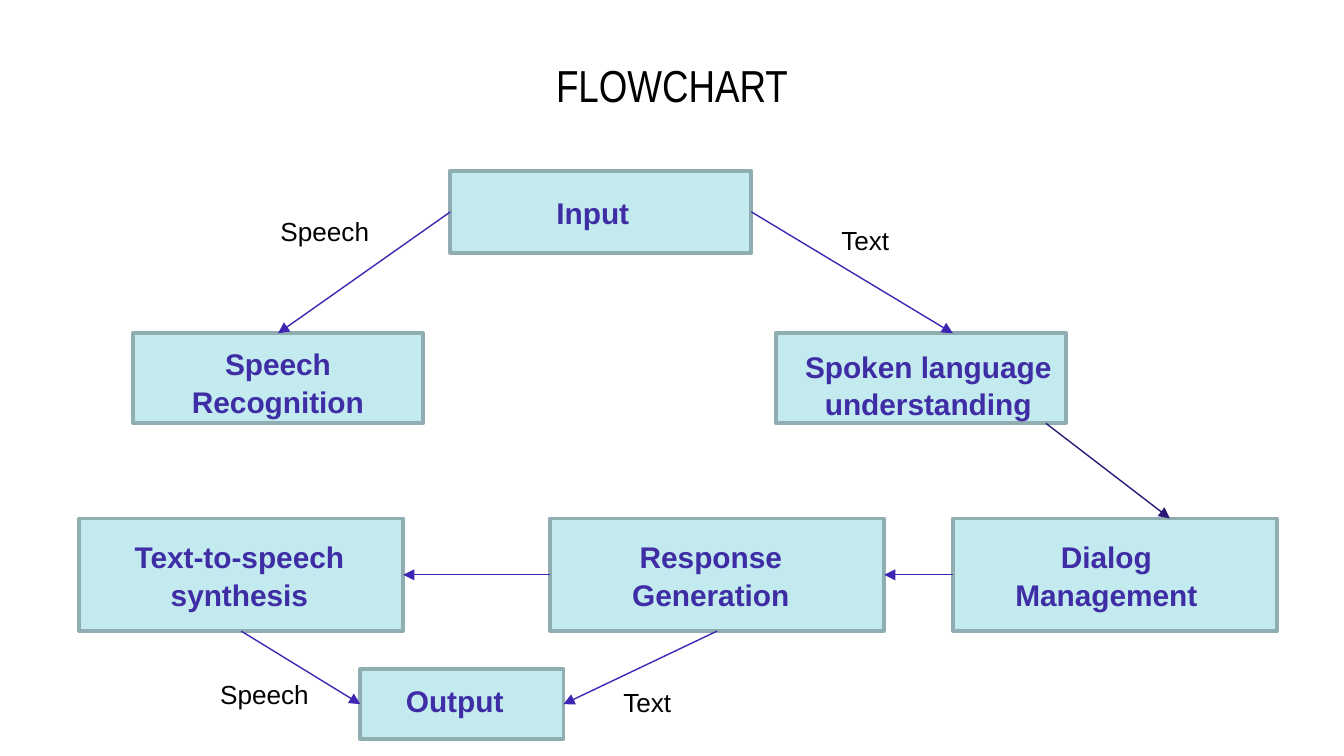
from pptx import Presentation
from pptx.dml.color import RGBColor
from pptx.enum.shapes import MSO_CONNECTOR, MSO_SHAPE
from pptx.enum.text import MSO_ANCHOR, PP_ALIGN
from pptx.oxml.ns import qn
from pptx.util import Cm, Pt
from lxml.etree import SubElement

BLACK = RGBColor(0x00, 0x00, 0x00)
BOX_FILL = RGBColor(0xC3, 0xEB, 0xEF)
BOX_LINE = RGBColor(0x90, 0xAE, 0xB1)
BOX_TEXT = RGBColor(0x3F, 0x2D, 0xA5)
ARROW = RGBColor(0x3F, 0x25, 0xB3)
DARK_ARROW = RGBColor(0x2A, 0x18, 0x77)

# Points on a box, as fractions of its width and height
TOP, BOTTOM, LEFT, RIGHT = (0.5, 0), (0.5, 1), (0, 0.5), (1, 0.5)

# Step: (left, top, width, height), (label offset x, y, label width), in cm
STEPS = {
    "Input": ((8.51, 3.23, 5.69, 1.55), (0.08, 0.3, 5.23)),
    "Speech Recognition": ((2.51, 6.3, 5.49, 1.7), (0, 0.08, 5.49)),
    "Spoken language understanding": ((14.66, 6.3, 5.49, 1.7), (0, 0.13, 5.77)),
    "Dialog Management": ((18.01, 9.8, 6.12, 2.13), (0.18, 0.23, 5.44)),
    "Response Generation": ((10.39, 9.8, 6.32, 2.13), (0.2, 0.23, 5.69)),
    "Text-to-speech synthesis": ((1.5, 9.8, 6.12, 2.13), (0.13, 0.23, 5.79)),
    "Output": ((6.81, 12.65, 3.84, 1.32), (0.07, 0.1, 3.43)),
}

FLOWS = [
    ("Input", RIGHT, "Spoken language understanding", (0.61, 0), ARROW),
    ("Spoken language understanding", (0.93, 1), "Dialog Management", (0.67, 0), DARK_ARROW),
    ("Dialog Management", LEFT, "Response Generation", RIGHT, ARROW),
    ("Response Generation", LEFT, "Text-to-speech synthesis", RIGHT, ARROW),
    ("Response Generation", BOTTOM, "Output", RIGHT, ARROW),
    ("Text-to-speech synthesis", BOTTOM, "Output", LEFT, ARROW),
    ("Input", LEFT, "Speech Recognition", TOP, ARROW),
]

# Captions beside the arrows: text, left, top, width
CAPTIONS = [
    ("Text", 15.65, 4.11, 2.13),
    ("Speech", 5.05, 3.94, 3.25),
    ("Text", 11.53, 12.85, 3.84),
    ("Speech", 3.91, 12.7, 2.59),
]


def add_run(p, text, size, color, font="Arial", bold=False):
    r = p.add_run()
    r.text = text
    r.font.name, r.font.size, r.font.bold = font, Pt(size), bold
    r.font.color.rgb = color


def add_title(s, text, left, top, width, height):
    sp = s.shapes.title
    sp.left, sp.top, sp.width, sp.height = Cm(left), Cm(top), Cm(width), Cm(height)
    tf = sp.text_frame
    tf.vertical_anchor = MSO_ANCHOR.MIDDLE
    tf.margin_left = tf.margin_right = tf.margin_top = tf.margin_bottom = Cm(0.25)
    p = tf.paragraphs[0]
    p.alignment = PP_ALIGN.CENTER
    add_run(p, text, 24, BLACK, "Arial Narrow")


def add_text(s, left, top, width, height):
    tf = s.shapes.add_textbox(Cm(left), Cm(top), Cm(width), Cm(height)).text_frame
    tf.word_wrap = True
    return tf.paragraphs[0]


def add_box(s, box):
    sp = s.shapes.add_shape(MSO_SHAPE.RECTANGLE, *map(Cm, box))
    sp.shadow.inherit = False
    sp.fill.solid()
    sp.fill.fore_color.rgb = BOX_FILL
    sp.line.color.rgb = BOX_LINE
    sp.line.width = Pt(2)


def add_step_label(s, text, box, label):
    left, top, _, height = box
    dx, dy, width = label
    p = add_text(s, left + dx, top + dy, width, height - dy)
    p.alignment = PP_ALIGN.CENTER
    p.line_spacing = 1.05
    add_run(p, text, 16, BOX_TEXT, bold=True)


def point_on(box, at):
    left, top, width, height = box
    return Cm(left + at[0] * width), Cm(top + at[1] * height)


def add_arrow(s, start, end, color):
    cxn = s.shapes.add_connector(MSO_CONNECTOR.STRAIGHT, *start, *end)
    cxn.line.color.rgb = color
    cxn.line.width = Pt(0.75)
    SubElement(cxn.line._get_or_add_ln(), qn("a:tailEnd"), type="triangle")
    SubElement(cxn._element.spPr, qn("a:effectLst"))


def add_flowchart(s):
    # Boxes, then arrows, then the text on top
    for box, _ in STEPS.values():
        add_box(s, box)
    for source, start, target, end, color in FLOWS:
        add_arrow(s, point_on(STEPS[source][0], start),
                  point_on(STEPS[target][0], end), color)
    for text, (box, label) in STEPS.items():
        add_step_label(s, text, box, label)
    for text, left, top, width in CAPTIONS:
        add_run(add_text(s, left, top, width, 0.86), text, 14, BLACK)


def main():
    prs = Presentation()
    prs.slide_width, prs.slide_height = Cm(25.4), Cm(14.29)
    s = prs.slides.add_slide(prs.slide_layouts[5])
    add_title(s, "FLOWCHART", 1.27, 1.14, 22.86, 0.91)
    add_flowchart(s)
    prs.save("out.pptx")


if __name__ == "__main__":
    main()
